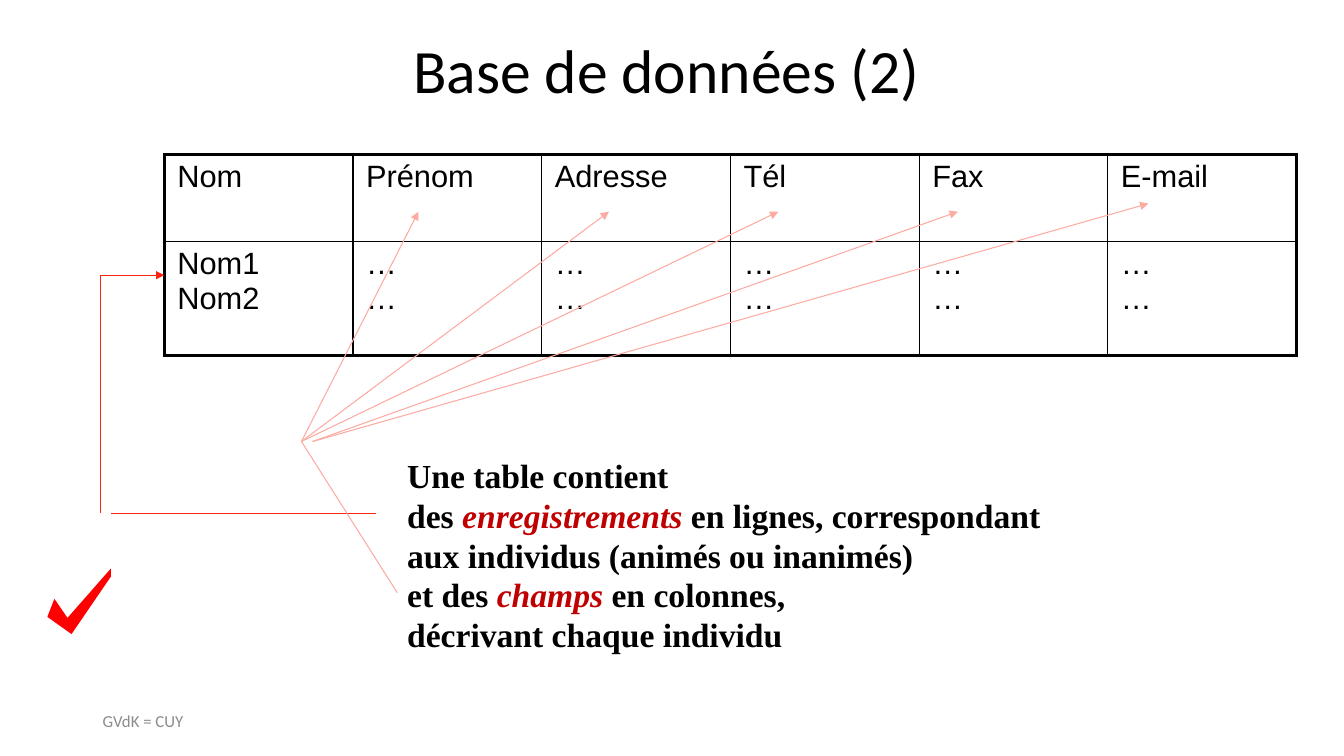
"""Build the slide on the rows and columns of a database table."""
import pptx
import pptx.dml.color
import pptx.enum.shapes
import pptx.enum.text
import pptx.oxml
import pptx.oxml.ns
import pptx.util
from pptx.util import Inches

RGBColor = pptx.dml.color.RGBColor
BLACK = RGBColor(0, 0, 0)
GREY = RGBColor(0x8C, 0x8C, 0x8C)
RED = RGBColor(0xFF, 0, 0)
DARK = RGBColor(0xC0, 0, 0)
BRIGHT = RGBColor(0xFA, 0x24, 0x0E)
PINK = RGBColor(0xFD, 0xAA, 0xA1)
NS = pptx.oxml.ns.nsdecls("a")


def style(para, name, size, color=BLACK):
    para.font.name = name
    para.font.size = pptx.util.Pt(size)
    para.font.color.rgb = color


def link(start, end, color, arrow=False):
    line = slide.shapes.add_connector(
        pptx.enum.shapes.MSO_CONNECTOR.STRAIGHT,
        *[Inches(v) for v in start + end])
    line.line.color.rgb = color
    line.line.width = pptx.util.Pt(0.75)
    if arrow:
        line.line._get_or_add_ln().append(
            pptx.oxml.parse_xml(f'<a:tailEnd {NS} type="triangle"/>'))
    line._element.spPr.append(pptx.oxml.parse_xml(f"<a:effectLst {NS}/>"))


deck = pptx.Presentation()
deck.slide_width = Inches(13.33)
deck.slide_height = Inches(7.5)
slide = deck.slides.add_slide(deck.slide_layouts[5])

title = slide.shapes.title
title.left, title.top = Inches(0.22), Inches(0.14)
title.width, title.height = Inches(12.78), Inches(1.08)
title.text_frame.text = "Base de données (2)"
style(title.text_frame.paragraphs[0], "Calibri", 44)

foot = slide.shapes.add_textbox(
    Inches(0.92), Inches(6.95), Inches(3), Inches(0.4)).text_frame
foot.word_wrap = True
foot.vertical_anchor = pptx.enum.text.MSO_ANCHOR.MIDDLE
foot.text = "GVdK = CUY"
style(foot.paragraphs[0], "Calibri", 12, GREY)

marks = [(0.54, 5.94), (0.47, 6.12), (0.71, 6.29),
         (1.1, 5.72), (1.1, 5.64), (0.67, 6.13)]
points = [(Inches(x), Inches(y)) for x, y in marks]
draft = slide.shapes.build_freeform(*points[0])
draft.add_line_segments(points[1:], close=True)
check = draft.convert_to_shape()
check.shadow.inherit = False
check.fill.solid()
check.fill.fore_color.rgb = RED
check.line.fill.background()

heads = ["Nom", "Prénom", "Adresse", "Tél", "Fax", "E-mail"]
rows = [heads, ["Nom1\vNom2"] + ["…\v…"] * 5]
grid = slide.shapes.add_table(
    2, 6, Inches(1.63), Inches(1.53), Inches(11.23), Inches(2)).table
grid.first_row = grid.horz_banding = False
grid.rows[0].height = Inches(0.87)
grid.rows[1].height = Inches(1.13)
for r, row in enumerate(rows):
    for c, text in enumerate(row):
        cell = grid.cell(r, c)
        cell.text = text
        cell.margin_left = cell.margin_right = Inches(0.13)
        style(cell.text_frame.paragraphs[0], "Arial", 22)
        cell.fill.background()
        outer = {"L": c == 0, "R": c == 5, "T": r == 0, "B": r == 1}
        for i, (side, thick) in enumerate(outer.items()):
            width = pptx.util.Pt(2.25 if thick else 1)
            cell._tc.get_or_add_tcPr().insert(i, pptx.oxml.parse_xml(
                f'<a:ln{side} {NS} w="{width}"><a:solidFill>'
                f'<a:srgbClr val="{BLACK}"/></a:solidFill></a:ln{side}>'))

link((1, 2.73), (1.63, 2.73), BRIGHT, True)
link((1, 2.73), (1, 5.09), BRIGHT)
link((1.1, 5.09), (3.73, 5.09), BRIGHT)
link((3.94, 5.88), (2.99, 4.38), PINK)
fan = [(2.99, 4.15, 2.1), (2.99, 6.04, 2.1), (2.99, 7.72, 2.1),
       (3.1, 9.5, 2.1), (3.1, 11.39, 2.02)]
for x, tip, y in fan:
    link((x, 4.38), (tip, y), PINK, True)

notes = [
    (4.46, 6.63, [["Une table contient"],
                  ["des ", "enregistrements", " en lignes, correspondant"],
                  ["aux individus (animés ou inanimés)"]]),
    (5.64, 8.61, [["et des ", "champs", " en colonnes,"],
                  ["décrivant chaque individu"]]),
]
for top, width, lines in notes:
    frame = slide.shapes.add_textbox(
        Inches(3.94), Inches(top), Inches(width), Inches(1.31)).text_frame
    frame.word_wrap = True
    for n, parts in enumerate(lines):
        para = frame.add_paragraph() if n else frame.paragraphs[0]
        style(para, "Times New Roman", 24)
        para.font.bold = True
        for i, part in enumerate(parts):
            run = para.add_run()
            run.text = part
            if i == 1:
                run.font.italic = True
                run.font.color.rgb = DARK

deck.save("out.pptx")
